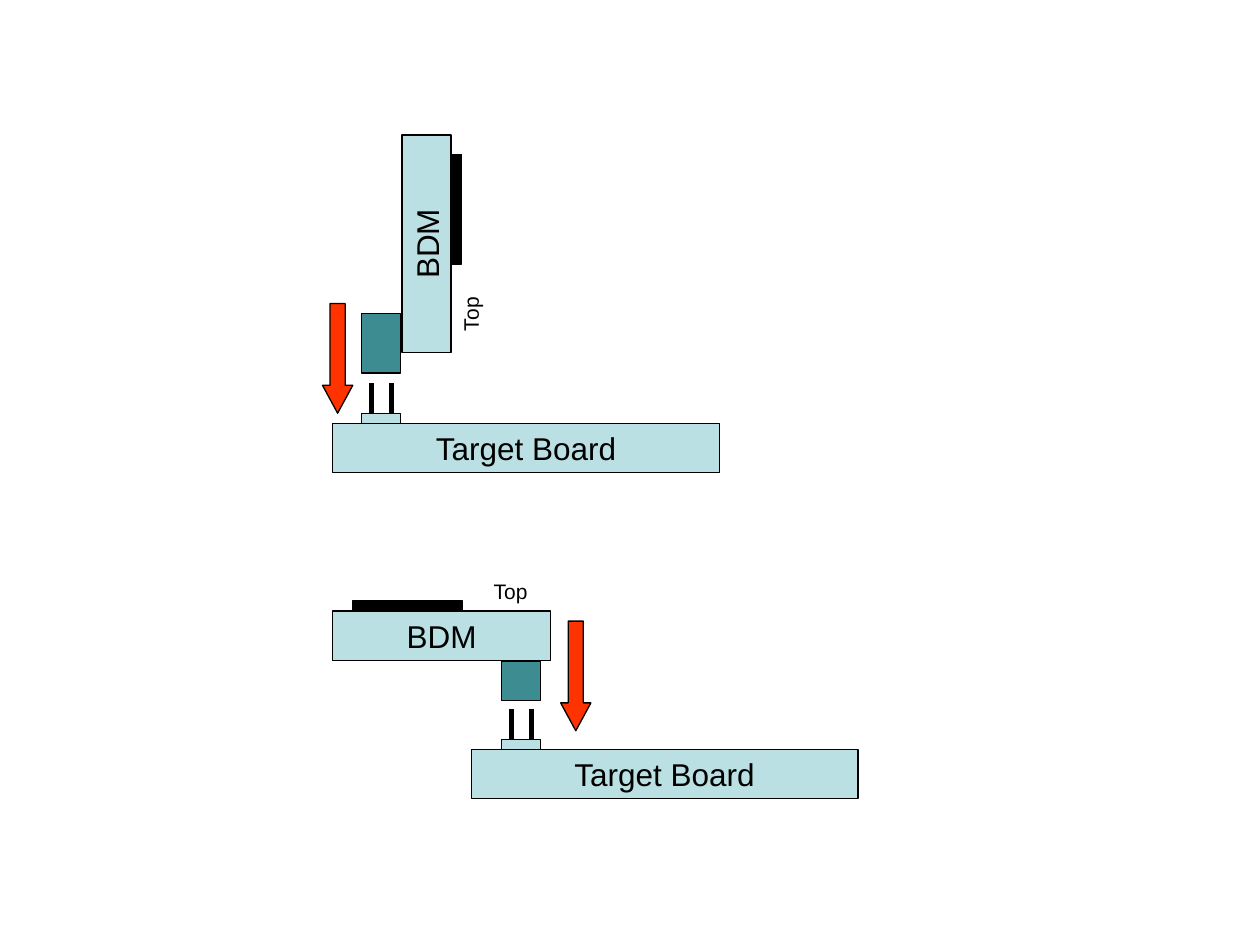
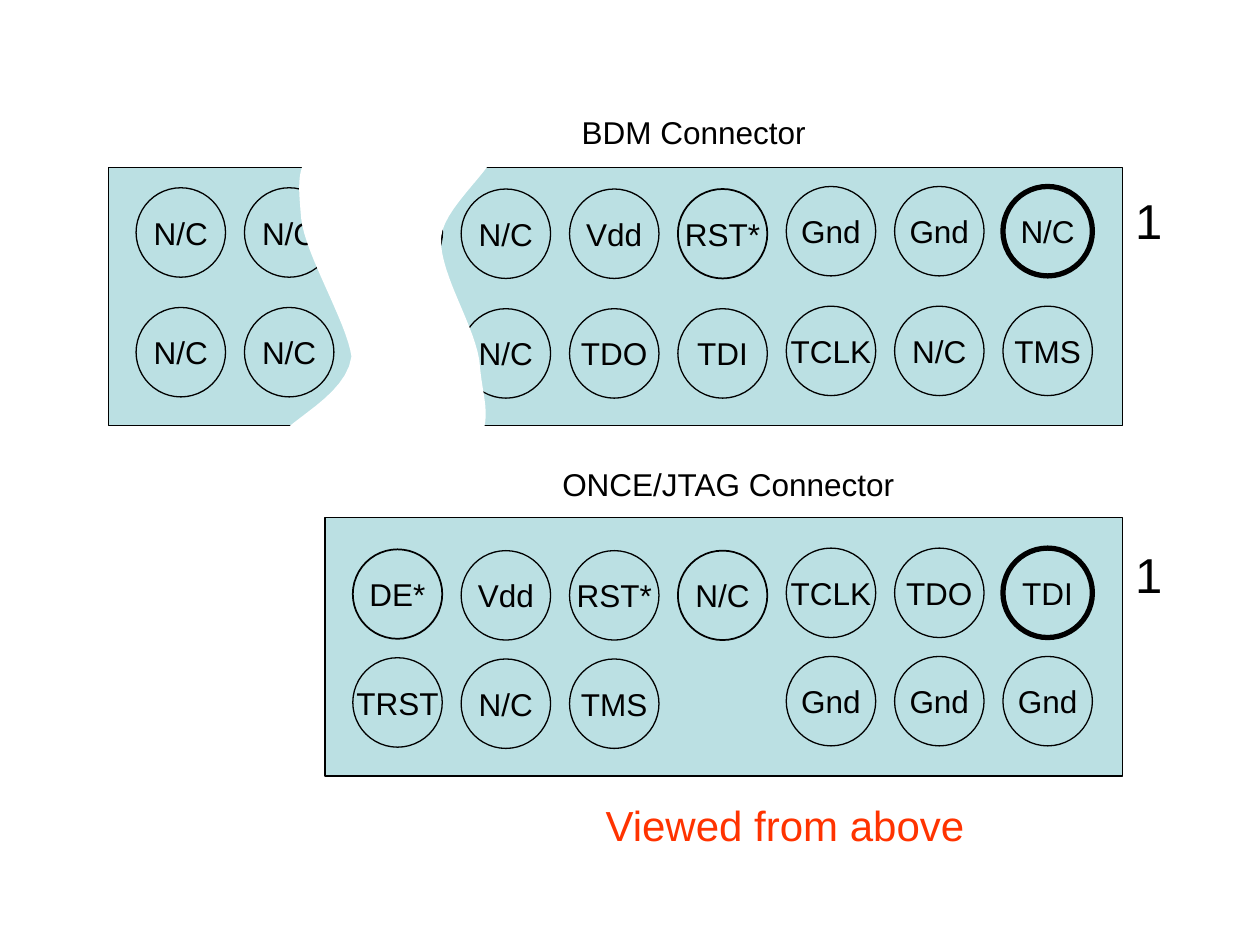
from pptx import Presentation
from pptx.dml.color import RGBColor
from pptx.enum.shapes import MSO_CONNECTOR, MSO_SHAPE
from pptx.enum.text import MSO_ANCHOR, PP_ALIGN
from pptx.oxml.ns import qn
from pptx.util import Inches, Pt
from lxml.etree import SubElement

BLACK = RGBColor(0, 0, 0)
WHITE = RGBColor(255, 255, 255)
PALE_BLUE = RGBColor(0xBB, 0xE0, 0xE3)
TEAL = RGBColor(0x3C, 0x8C, 0x92)
RED = RGBColor(0xFF, 0x33, 0x00)
FONT = "Arial"


def add_block(shapes, kind, left, top, width, height, fill=PALE_BLUE, text="", line_width=0.75):
    shape = shapes.add_shape(kind, Inches(left), Inches(top), Inches(width), Inches(height))
    shape.shadow.inherit = False
    shape.fill.solid()
    shape.fill.fore_color.rgb = fill
    shape.line.color.rgb = BLACK
    shape.line.width = Pt(line_width)
    if text:
        frame = shape.text_frame
        frame.word_wrap = False
        frame.vertical_anchor = MSO_ANCHOR.MIDDLE
        frame.text = text
        paragraph = frame.paragraphs[0]
        paragraph.alignment = PP_ALIGN.CENTER
        paragraph.font.name = FONT
        paragraph.font.size = Pt(18)
        paragraph.font.color.rgb = BLACK
    return shape


def add_label(shapes, text, left, top, width, height, size, color=BLACK, alignment=PP_ALIGN.LEFT):
    label = shapes.add_textbox(Inches(left), Inches(top), Inches(width), Inches(height))
    label.text_frame.word_wrap = True
    label.text_frame.text = text
    paragraph = label.text_frame.paragraphs[0]
    paragraph.alignment = alignment
    paragraph.font.name = FONT
    paragraph.font.size = Pt(size)
    paragraph.font.color.rgb = color
    return label


presentation = Presentation()
presentation.slide_width = Inches(10)
presentation.slide_height = Inches(7.5)
blank_layout = presentation.slide_layouts[6]

mounting_slide = presentation.slides.add_slide(blank_layout)
shapes = mounting_slide.shapes

for board_left, board_top, header_left in [(2.64, 3.36, 2.87), (3.74, 5.95, 3.98)]:
    add_block(shapes, MSO_SHAPE.RECTANGLE, board_left, board_top, 3.07, 0.39, text="Target Board")
    header_top = board_top - 0.08
    add_block(shapes, MSO_SHAPE.RECTANGLE, header_left, header_top, 0.31, 0.08)
    for pin_offset in (0.08, 0.24):
        pin_x = Inches(header_left + pin_offset)
        pin = shapes.add_connector(
            MSO_CONNECTOR.STRAIGHT, pin_x, Inches(header_top), pin_x, Inches(header_top - 0.24))
        pin.line.color.rgb = BLACK
        pin.line.width = Pt(3)
        SubElement(pin._element.spPr, qn("a:effectLst"))

for module_left, module_top, module_turn in [(2.52, 1.74, 270), (2.64, 4.85, 0)]:
    module = add_block(shapes, MSO_SHAPE.RECTANGLE, module_left, module_top, 1.73, 0.39, text="BDM")
    module.rotation = module_turn

for plug_left, plug_top, plug_height in [(2.87, 2.49, 0.47), (3.98, 5.25, 0.31)]:
    add_block(shapes, MSO_SHAPE.RECTANGLE, plug_left, plug_top, 0.31, plug_height, TEAL)

for arrow_left, arrow_top in [(2.56, 2.41), (4.45, 4.93)]:
    arrow = add_block(shapes, MSO_SHAPE.DOWN_ARROW, arrow_left, arrow_top, 0.24, 0.87, RED)
    arrow.adjustments[0] = 0.5
    arrow.adjustments[1] = 0.92

for top_left, top_top, top_turn in [(3.38, 2.22, 270), (3.82, 4.54, 0)]:
    top_label = add_label(shapes, "Top", top_left, top_top, 0.71, 0.3, 12)
    top_label.rotation = top_turn

for chip_left, chip_top, chip_turn in [(3.19, 1.62, 90), (2.8, 4.77, 0)]:
    chip = add_block(shapes, MSO_SHAPE.RECTANGLE, chip_left, chip_top, 0.87, 0.08, BLACK)
    chip.rotation = chip_turn

pinout_slide = presentation.slides.add_slide(blank_layout)
shapes = pinout_slide.shapes

add_label(shapes, "Viewed from above", 3.75, 6.3, 4.96, 0.5, 24, RED, PP_ALIGN.CENTER)

PIN_SIZE = 0.71
PIN_ONE_LEFT = 7.96
PIN_PITCH = 0.86
BODY_RIGHT = 8.91
COLUMN_DROPS = [0, 0, 0, 0.02, 0.02, 0.02, 0.01, 0.01, 0.01]
BDM_PINS = [
    ["N/C", "Gnd", "Gnd", "RST*", "Vdd", "N/C", "", "N/C", "N/C"],
    ["TMS", "N/C", "TCLK", "TDI", "TDO", "N/C", "", "N/C", "N/C"],
]
JTAG_PINS = [
    ["TDI", "TDO", "TCLK", "N/C", "RST*", "Vdd", "DE*"],
    ["Gnd", "Gnd", "Gnd", None, "TMS", "N/C", "TRST"],
]
connectors = [
    (shapes.add_group_shape().shapes, 1.33, 8.05, (1.48, 2.43), BDM_PINS),
    (shapes, 4.11, 6.33, (4.35, 5.21), JTAG_PINS),
]
for target, body_top, body_width, row_tops, pin_rows in connectors:
    add_block(target, MSO_SHAPE.RECTANGLE, BODY_RIGHT - body_width, body_top, body_width, 2.05)
    for row, (row_top, names) in enumerate(zip(row_tops, pin_rows)):
        for column, name in enumerate(names):
            if name is None:
                continue
            line_width = {0: 3, 3: 1, 6: 1}.get(column, 0.75) if row == 0 else 0.75
            add_block(target, MSO_SHAPE.OVAL, PIN_ONE_LEFT - column * PIN_PITCH,
                      row_top + COLUMN_DROPS[column], PIN_SIZE, PIN_SIZE,
                      text=name, line_width=line_width)

BREAK_START = (2.64, 1.09)
BREAK_SIDES = [
    [(3.88, 1.09), (4.14, 1.19), (3.52, 1.59), (3.5, 1.89),
     (3.49, 2.19), (3.79, 2.61), (3.81, 2.91),
     (3.83, 3.2), (3.97, 3.44), (3.63, 3.65)],
    [(2.25, 3.65), (1.95, 3.43), (2.73, 3.25), (2.79, 2.83),
     (2.75, 2.55), (2.42, 2.02), (2.39, 1.73),
     (2.37, 1.45), (2.32, 1.24), BREAK_START],
]
CURVE_STEPS = 16
outline = []
for side in BREAK_SIDES:
    outline.append(side[0])
    for first in range(0, len(side) - 1, 3):
        curve = side[first:first + 4]
        for step in range(1, CURVE_STEPS + 1):
            t = step / CURVE_STEPS
            weights = ((1 - t) ** 3, 3 * t * (1 - t) ** 2, 3 * t ** 2 * (1 - t), t ** 3)
            outline.append(tuple(
                sum(weight * point[axis] for weight, point in zip(weights, curve))
                for axis in (0, 1)))
builder = shapes.build_freeform(Inches(BREAK_START[0]), Inches(BREAK_START[1]))
builder.add_line_segments([(Inches(x), Inches(y)) for x, y in outline], close=True)
break_gap = builder.convert_to_shape()
break_gap.shadow.inherit = False
break_gap.fill.solid()
break_gap.fill.fore_color.rgb = WHITE
break_gap.line.fill.background()

add_label(shapes, "BDM Connector", 3.98, 0.85, 3.05, 0.4, 18, alignment=PP_ALIGN.CENTER)
add_label(shapes, "ONCE/JTAG Connector", 4.14, 3.64, 3.28, 0.4, 18, alignment=PP_ALIGN.CENTER)
for pin_one_top in (1.46, 4.27):
    add_label(shapes, "1", BODY_RIGHT, pin_one_top, 0.39, 0.57, 28)

presentation.save("out.pptx")
